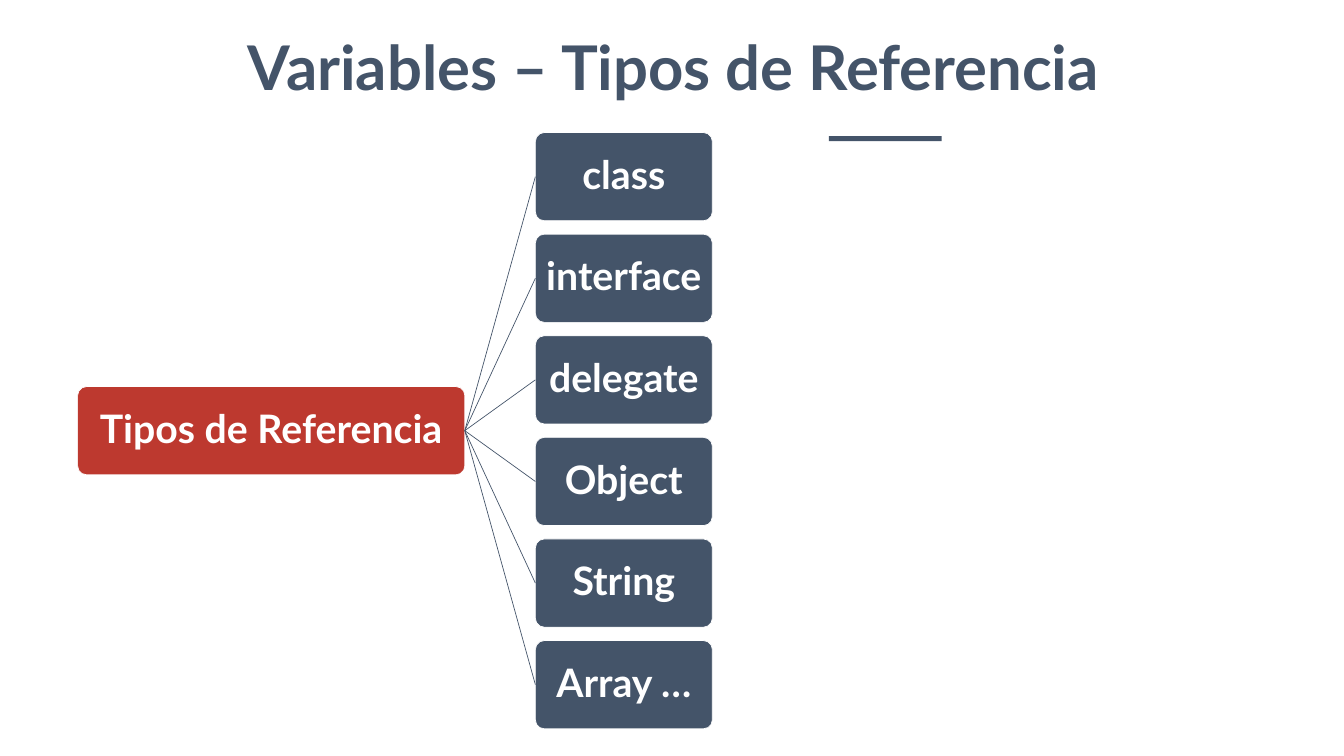
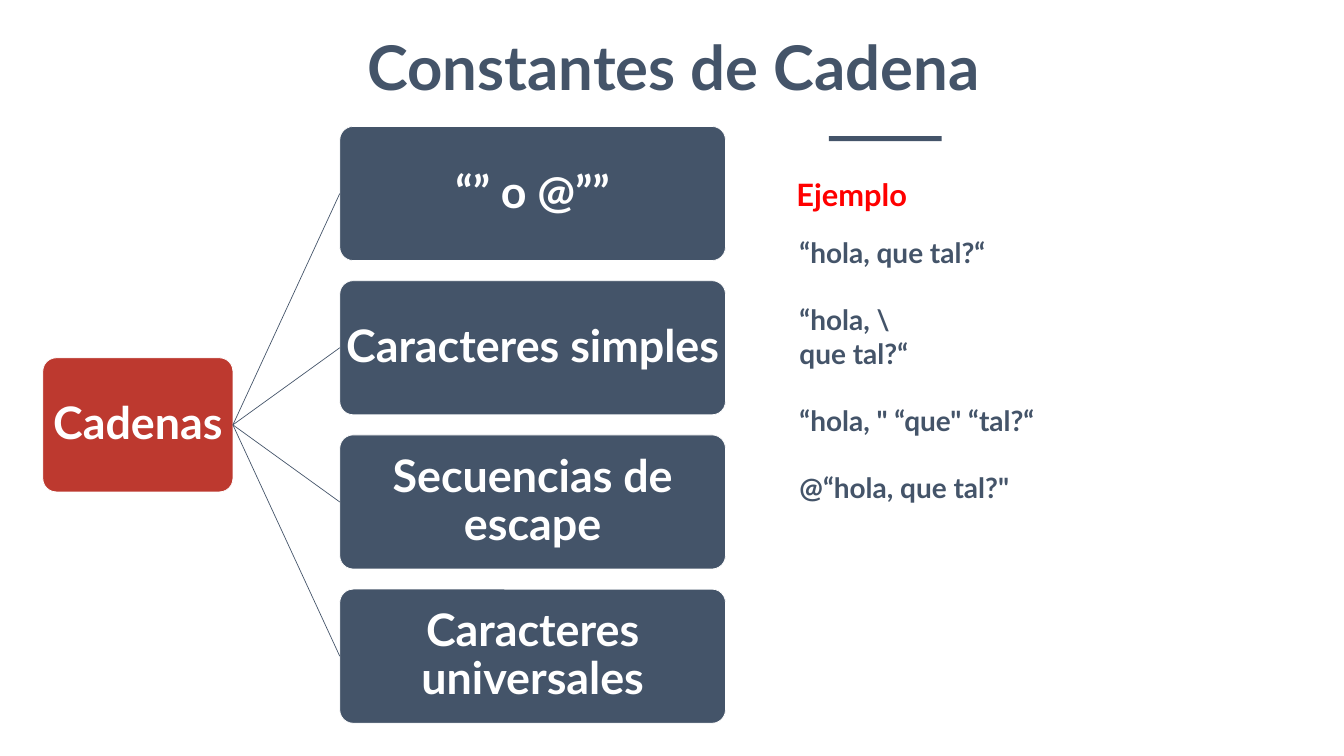
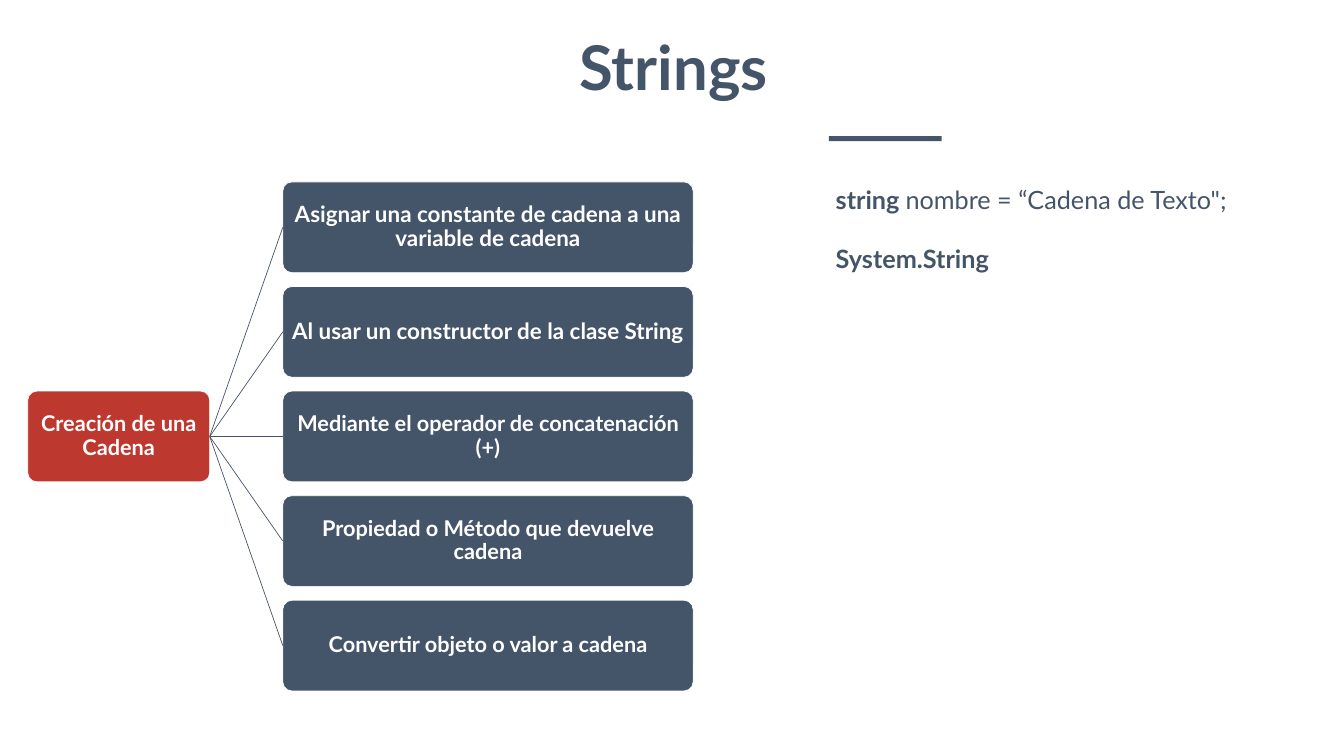
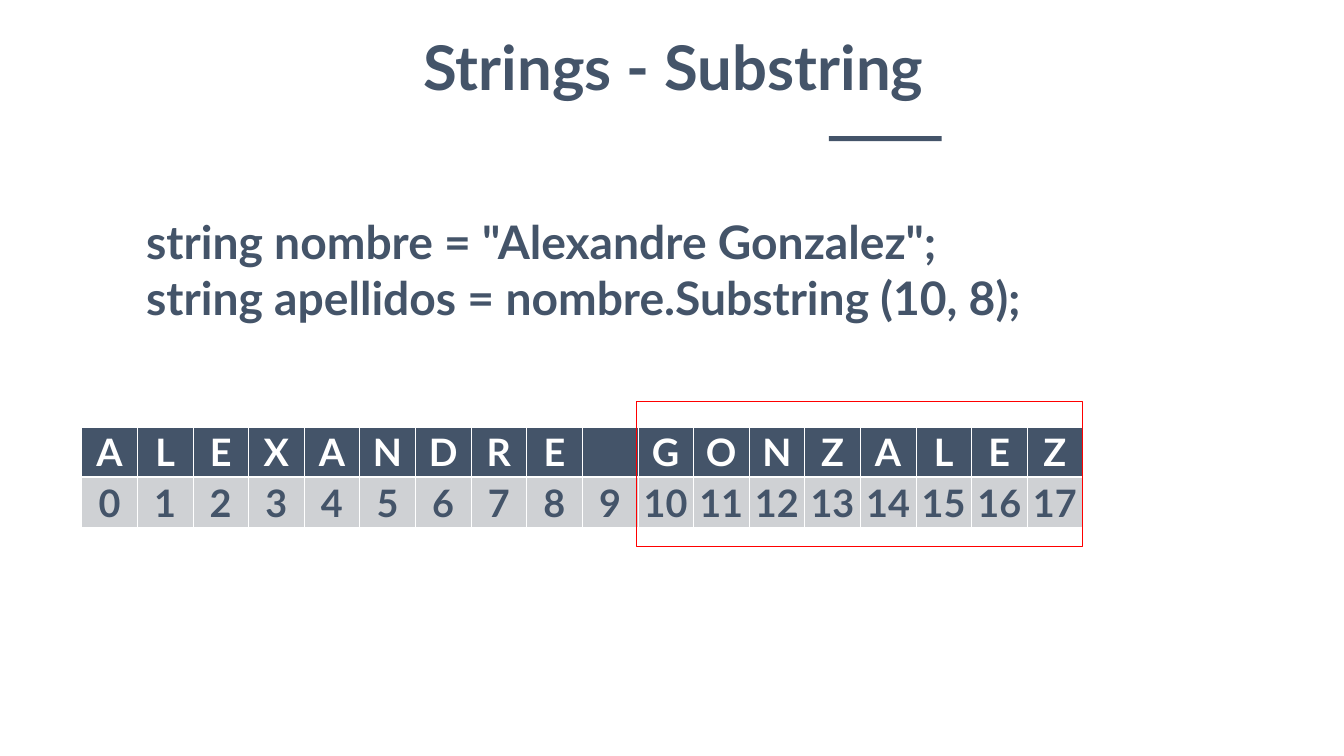
import dataclasses

import lxml.etree
import pptx
import pptx.chart.data
import pptx.dml.color
import pptx.enum.shapes
import pptx.enum.text
import pptx.oxml
import pptx.oxml.ns
import pptx.util

Inches = pptx.util.Inches
Pt = pptx.util.Pt
RGB = pptx.dml.color.RGBColor.from_string
SHAPE = pptx.enum.shapes.MSO_SHAPE
CENTER = pptx.enum.text.PP_ALIGN.CENTER
qn = pptx.oxml.ns.qn


@dataclasses.dataclass(frozen=True)
class Theme:
    font: str = "Lato"
    slate: str = "445469"
    brick: str = "BD392F"
    red: str = "FF0000"
    white: str = "FFFFFF"
    grey: str = "CFD1D4"
    title: int = 88
    code: int = 66
    cell: int = 54
    label: int = 44
    sample: int = 40
    note: int = 36


theme = Theme()


def add_run(p, text, size, color, bold=True):
    r = p.add_run()
    r.text = text
    r.font.name = theme.font
    r.font.size = Pt(size)
    r.font.bold = bold
    r.font.color.rgb = RGB(color)


def add_text(s, at, lines, size, color=theme.slate, wrap=False):
    tf = s.shapes.add_textbox(*map(Inches, at)).text_frame
    tf.word_wrap = wrap
    tf.auto_size = pptx.enum.text.MSO_AUTO_SIZE.SHAPE_TO_FIT_TEXT
    for i, runs in enumerate(lines):
        p = tf.paragraphs[0] if i == 0 else tf.add_paragraph()
        for text, bold in runs:
            add_run(p, text, size, color, bold)
    return tf


prs = pptx.Presentation()
prs.slide_width = Inches(26.66)
prs.slide_height = Inches(15)

slides = []
for title in ("Variables – Tipos de Referencia", "Constantes de Cadena",
              "Strings", "Strings - Substring"):
    s = prs.slides.add_slide(prs.slide_layouts[6])
    s.background.fill.solid()
    s.background.fill.fore_color.rgb = RGB(theme.white)
    tf = add_text(s, (0.26, 0.53, 26.2, 1.58), [[(title, True)]], theme.title, wrap=True)
    tf.paragraphs[0].alignment = CENTER
    bar = s.shapes.add_shape(SHAPE.RECTANGLE, Inches(16.44), Inches(2.7), Inches(2.24), Inches(0.1))
    bar.shadow.inherit = False
    bar.fill.solid()
    bar.fill.fore_color.rgb = RGB(theme.slate)
    bar.line.fill.background()
    slides.append(s)

trees = [
    dict(root=("Tipos de Referencia", 56), root_at=(1.54, 7.67), root_width=7.68,
         left=10.62, top=2.63, pitch=2.016, width=3.51, height=1.75,
         leaves=[("class", 56), ("interface", 56), ("delegate", 56),
                 ("Object", 56), ("String", 56), ("Array …", 56)]),
    dict(root=("Cadenas", 64), root_at=(0.85, 7.1), root_width=3.77,
         left=6.74, top=2.51, pitch=3.06, width=7.65, height=2.66,
         leaves=[("“” o @””", 64), ("Caracteres simples", 64),
                 ("Secuencias de escape", 64), ("Caracteres universales", 64)]),
    dict(root=("Creación de una Cadena", 31), root_at=(0.55, 7.76), root_width=3.61,
         left=5.61, top=3.61, pitch=2.075, width=8.14, height=1.8,
         leaves=[("Asignar una constante de cadena a una variable de cadena", 32),
                 ("Al usar un constructor de la clase String", 32),
                 ("Mediante el operador de concatenación (+)", 31),
                 ("Propiedad o Método que devuelve cadena", 31),
                 ("Convertir objeto o valor a cadena", 31)]),
]

for s, tree in zip(slides, trees):
    nodes = [(*tree["root"], *tree["root_at"], tree["root_width"], theme.brick)]
    for i, (text, size) in enumerate(tree["leaves"]):
        nodes.append((text, size, tree["left"], tree["top"] + i * tree["pitch"],
                      tree["width"], theme.slate))
    boxes = []
    for text, size, left, top, width, color in nodes:
        sp = s.shapes.add_shape(SHAPE.ROUNDED_RECTANGLE, Inches(left), Inches(top),
                                Inches(width), Inches(tree["height"]))
        sp.adjustments[0] = 0.1
        sp.shadow.inherit = False
        sp.fill.solid()
        sp.fill.fore_color.rgb = RGB(color)
        sp.line.color.rgb = RGB(theme.white)
        sp.line.width = Pt(1)
        tf = sp.text_frame
        tf.word_wrap = True
        tf.vertical_anchor = pptx.enum.text.MSO_ANCHOR.MIDDLE
        tf.margin_left = tf.margin_right = tf.margin_top = tf.margin_bottom = Inches(0.02)
        p = tf.paragraphs[0]
        p.alignment = CENTER
        p.line_spacing = 0.9
        add_run(p, text, size, theme.white)
        boxes.append(sp)
    for leaf in boxes[1:]:
        branch = s.shapes.add_connector(pptx.enum.shapes.MSO_CONNECTOR.STRAIGHT, 0, 0, 0, 0)
        branch.begin_connect(boxes[0], 3)
        branch.end_connect(leaf, 1)
        branch.line.color.rgb = RGB(theme.slate)
        branch.line.width = Pt(1)
        lxml.etree.SubElement(branch._element.spPr, qn("a:effectLst"))

s = slides[1]
add_text(s, (15.7, 3.43, 2.54, 0.84), [[("Ejemplo", True)]], theme.label, theme.red)
samples = ["“hola, que tal?“", "“hola, \\", "que tal?“", "“hola, \" “que\" “tal?“", "@“hola, que tal?\""]
tf = add_text(s, (15.76, 4.62, 5.52, 6.09), [[(text, True)] for text in samples], theme.sample)
for i in (1, 3, 4):
    tf.paragraphs[i].space_before = Pt(theme.sample * 1.2)

s = slides[2]
add_text(s, (16.48, 3.61, 8.24, 0.71),
         [[("string ", True), ("nombre = “Cadena de Texto\";", False)]], theme.note)
add_text(s, (16.48, 4.78, 3.46, 0.71), [[("System.String", True)]], theme.note)

s = slides[3]
add_text(s, (2.8, 4.19, 19.21, 2.32),
         [[("string nombre = \"Alexandre Gonzalez\";", True)],
          [("string apellidos = nombre.Substring (10, 8);", True)]], theme.code)

letters = "ALEXANDRE GONZALEZ"
rows = [(letters, theme.white, theme.slate, 3),
        ([str(i) for i in range(len(letters))], theme.slate, theme.grey, 1)]
table = s.shapes.add_table(len(rows), len(letters), Inches(1.62), Inches(8.47),
                           Inches(19.86), Inches(2)).table
for column in table.columns:
    column.width = Inches(19.86 / len(letters))
for row, (values, color, fill, bottom) in enumerate(rows):
    for col, value in enumerate(values):
        cell = table.cell(row, col)
        tcPr = cell._tc.get_or_add_tcPr()
        for side, width in (("L", 1), ("R", 1), ("T", 1), ("B", bottom)):
            ln = lxml.etree.SubElement(tcPr, qn("a:ln" + side), w=str(Pt(width)))
            solid = lxml.etree.SubElement(ln, qn("a:solidFill"))
            lxml.etree.SubElement(solid, qn("a:srgbClr"), val=theme.white)
        cell.fill.solid()
        cell.fill.fore_color.rgb = RGB(fill)
        p = cell.text_frame.paragraphs[0]
        p.alignment = CENTER
        if value.strip():
            add_run(p, value, theme.cell, color)

frame = s.shapes.add_shape(SHAPE.RECTANGLE, Inches(12.62), Inches(7.97), Inches(8.86), Inches(2.88))
frame.shadow.inherit = False
frame.fill.background()
frame.line.color.rgb = RGB(theme.red)
frame.line.width = Pt(1)

prs.save("out.pptx")
